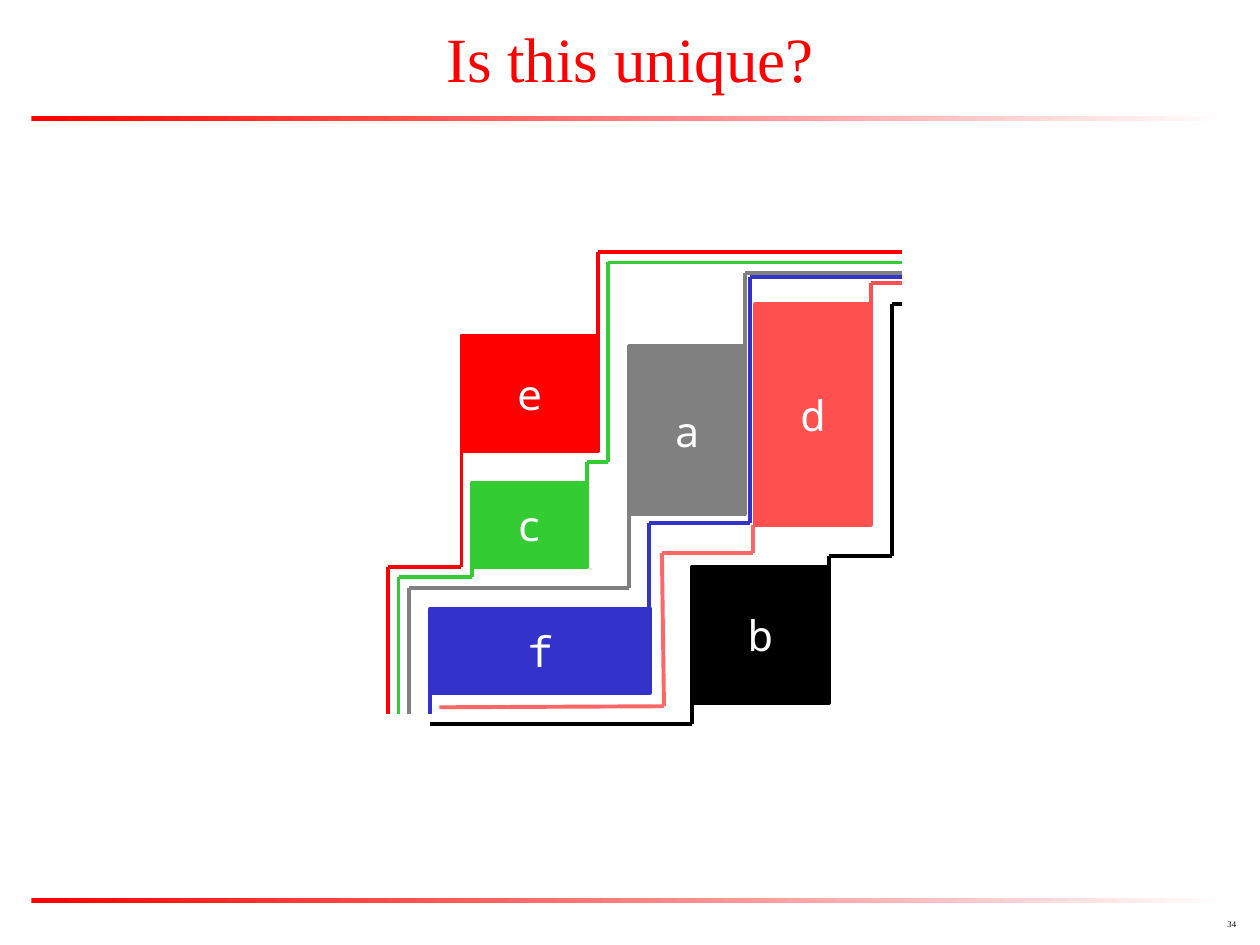
from dataclasses import dataclass
from itertools import pairwise

from lxml.etree import SubElement
from pptx import Presentation
from pptx.dml.color import RGBColor
from pptx.enum.shapes import MSO_CONNECTOR, MSO_SHAPE
from pptx.enum.text import MSO_ANCHOR, PP_ALIGN
from pptx.oxml.ns import qn
from pptx.util import Inches, Pt


@dataclass(frozen=True)
class Theme:
    red: str = "FF0000"
    green: str = "33CC33"
    blue: str = "3333CC"
    gray: str = "808080"
    coral: str = "FF5050"
    pink: str = "FF6666"
    black: str = "000000"
    white: str = "FFFFFF"
    serif: str = "Times New Roman"
    mono: str = "Noto Sans Mono"
    title_size: int = 36
    label_size: int = 24
    number_size: int = 5
    line_width: float = 2.25


THEME = Theme()

BLOCKS = [
    ("e", THEME.red, (7, 8, 13, 11)),
    ("c", THEME.green, (8, 22, 11, 8)),
    ("f", THEME.blue, (4, 34, 21, 8)),
    ("a", THEME.gray, (23, 9, 11, 16)),
    ("d", THEME.coral, (35, 5, 11, 21)),
    ("b", THEME.black, (29, 30, 13, 13)),
]
ROUTES = [
    (THEME.red, [(20, 8), (20, 0), (49, 0)]),
    (THEME.gray, [(34, 9), (34, 2), (49, 2)]),
    (THEME.green, [(19, 22), (19, 20), (21, 20), (21, 1), (49, 1)]),
    (THEME.coral, [(46, 5), (46, 3), (49, 3)]),
    (THEME.black, [(42, 30), (42, 29), (48, 29), (48, 5), (49, 5)]),
    (THEME.green, [(8, 30), (8, 31), (1, 31), (1, 44)]),
    (THEME.gray, [(23, 25), (23, 32), (2, 32), (2, 44)]),
    (THEME.red, [(7, 19), (7, 30), (0, 30), (0, 44)]),
    (THEME.blue, [(4, 42), (4, 44)]),
    (THEME.black, [(29, 43), (29, 45), (4, 45)]),
    (THEME.blue, [(24.9, 33.9), (24.9, 25.8), (34.5, 25.8), (34.5, 2.4), (49, 2.4)]),
    (THEME.pink, [(34.8, 26), (34.8, 28.7), (26.1, 28.7), (26.3, 43.3), (4.9, 43.4)]),
]


def rgb(color):
    return RGBColor.from_string(color)


def write(sp, text, *, size, font, color, align=PP_ALIGN.CENTER,
          anchor=MSO_ANCHOR.MIDDLE, wrap=True, spacing=None):
    tf = sp.text_frame
    tf.word_wrap = wrap
    tf.vertical_anchor = anchor
    p = tf.paragraphs[0]
    p.alignment = align
    p.line_spacing = spacing
    r = p.add_run()
    r.text = text
    r.font.size = Pt(size)
    r.font.name = font
    r.font.color.rgb = rgb(color)


def add_rect(s, box):
    sp = s.shapes.add_shape(MSO_SHAPE.RECTANGLE, *box)
    sp.shadow.inherit = False
    return sp


def add_rule(s, box):
    sp = add_rect(s, box)
    sp.line.fill.background()
    sp.fill.gradient()
    sp.fill.gradient_angle = 0
    for stop, color in zip(sp.fill.gradient_stops, (THEME.red, THEME.white)):
        stop.color.rgb = rgb(color)


def add_title(s, box, text):
    sp = s.shapes.title
    sp.left, sp.top, sp.width, sp.height = box
    write(sp, text, size=THEME.title_size, font=THEME.serif, color=THEME.red)


def add_page_number(s, box, text):
    sp = s.shapes.add_textbox(*box)
    write(sp, text, size=THEME.number_size, font=THEME.serif, color=THEME.black,
          align=PP_ALIGN.RIGHT, anchor=MSO_ANCHOR.BOTTOM, spacing=0.8)


def add_block(s, box, label, color):
    sp = add_rect(s, box)
    sp.fill.solid()
    sp.fill.fore_color.rgb = rgb(color)
    sp.line.color.rgb = rgb(color)
    sp.line.width = Pt(THEME.line_width)
    write(sp, label, size=THEME.label_size, font=THEME.mono,
          color=THEME.white, wrap=False)


def add_segment(s, start, end, color):
    line = s.shapes.add_connector(MSO_CONNECTOR.STRAIGHT, *start, *end)
    line.line.color.rgb = rgb(color)
    line.line.width = Pt(THEME.line_width)
    SubElement(line._element.spPr, qn("a:effectLst"))


def add_floorplan(s, box, columns=49):
    left, top, width, _ = box
    unit = width / columns

    def place(x, y):
        return round(left + x * unit), round(top + y * unit)

    for label, color, (x, y, w, h) in BLOCKS:
        add_block(s, (*place(x, y), round(w * unit), round(h * unit)), label, color)
    for color, points in ROUTES:
        for start, end in pairwise(points):
            add_segment(s, place(*start), place(*end), color)


def main():
    prs = Presentation()
    prs.slide_width, prs.slide_height = Inches(10), Inches(7.5)
    s = prs.slides.add_slide(prs.slide_layouts[5])
    for top in (0.92, 7.13):
        add_rule(s, (Inches(0.25), Inches(top), Inches(9.5), Inches(0.04)))
    add_page_number(s, (Inches(7.83), Inches(7.17), Inches(2.08), Inches(0.25)), "34")
    add_title(s, (Inches(0), Inches(0.08), Inches(10), Inches(0.75)), "Is this unique?")
    add_floorplan(s, (Inches(3.08), Inches(2), Inches(4.08), Inches(3.75)))
    prs.save("out.pptx")


if __name__ == "__main__":
    main()
